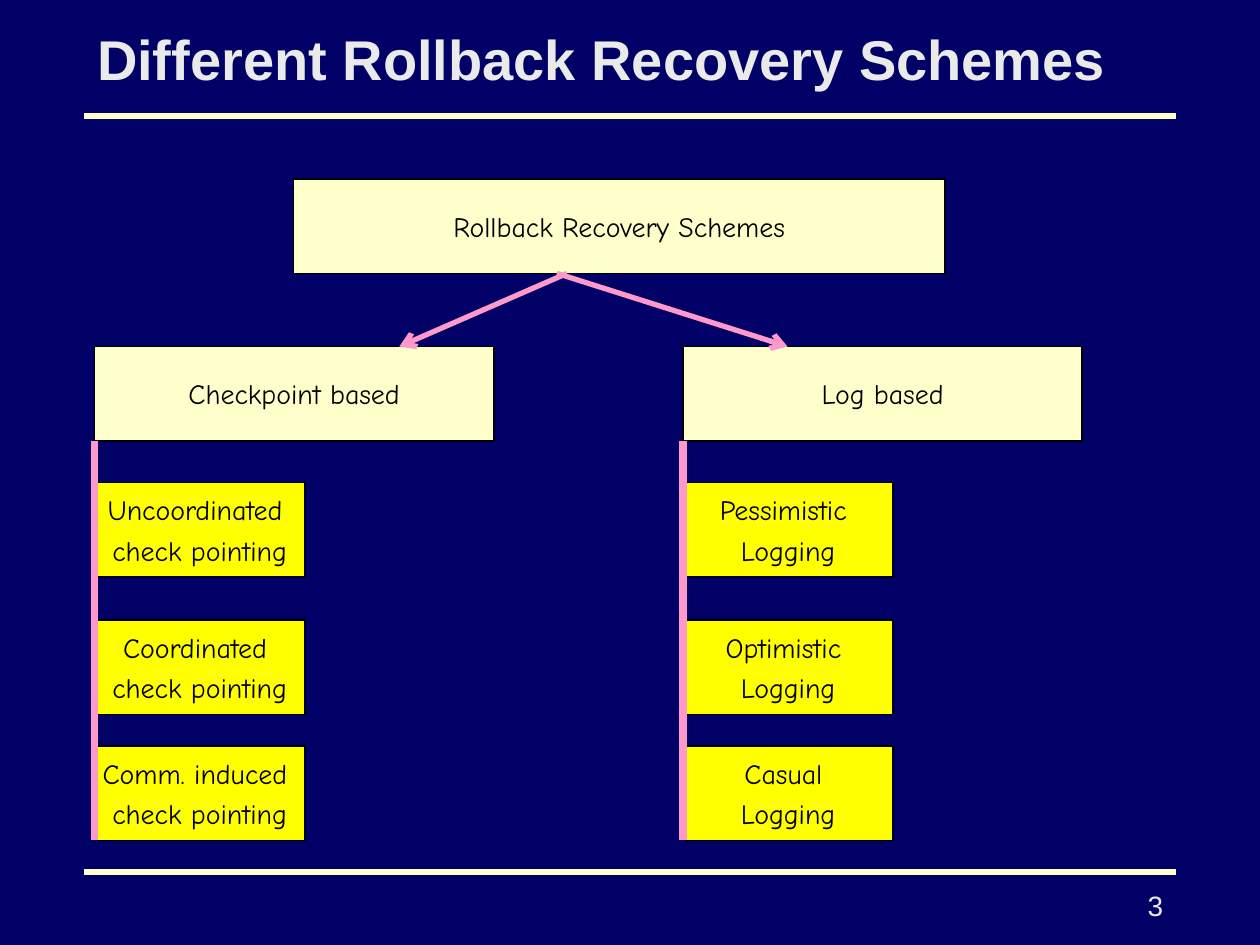
import pptx
import pptx.util
import pptx.dml.color
import pptx.enum.shapes
import pptx.enum.text
import pptx.oxml.ns
from lxml import etree
from pptx.util import Inches

TITLE = "Different Rollback Recovery Schemes"
ROOT = "Rollback Recovery Schemes"
# Each branch: left edge, heading, schemes, arrow start x, arrow end x
BRANCHES = [
    (0.75, "Checkpoint based",
     ["Uncoordinated \ncheck pointing", "Coordinated \ncheck pointing",
      "Comm. induced \ncheck pointing"], 4.5, 3.17),
    (5.42, "Log based",
     ["Pessimistic \nLogging", "Optimistic \nLogging", "Casual \nLogging"],
     4.42, 6.25),
]
PAGE = "3"

BOX_H = 0.75
ROOT_TOP, HEAD_TOP = 1.42, 2.75
SCHEME_TOPS = [3.83, 4.92, 5.92]
NAVY, CREAM, YELLOW, PINK = "000066", "FFFFCC", "FFFF00", "FF99CC"
BLACK, PALE = "000000", "EAEAEA"
ALIGN = pptx.enum.text.PP_ALIGN


def rgb(value):
    return pptx.dml.color.RGBColor.from_string(value)


def write(sp, text, size=16, font="Comic Neue", color=BLACK, bold=False,
          align=ALIGN.CENTER, wrap=False, gap=4,
          anchor=pptx.enum.text.MSO_ANCHOR.MIDDLE):
    tf = sp.text_frame
    tf.word_wrap = wrap
    tf.vertical_anchor = anchor
    tf.margin_left = tf.margin_right = Inches(0.1)
    tf.margin_top = tf.margin_bottom = Inches(0.05)
    tf.text = text
    for i, p in enumerate(tf.paragraphs):
        p.alignment = align
        p.space_before = pptx.util.Pt(gap if i else 0)
        for r in p.runs:
            r.font.size = pptx.util.Pt(size)
            r.font.name = font
            r.font.bold = bold
            r.font.color.rgb = rgb(color)


def box(s, text, left, top, width, fill):
    sp = s.shapes.add_shape(
        pptx.enum.shapes.MSO_SHAPE.RECTANGLE,
        Inches(left), Inches(top), Inches(width), Inches(BOX_H))
    sp.shadow.inherit = False
    sp.fill.solid()
    sp.fill.fore_color.rgb = rgb(fill)
    sp.line.color.rgb = rgb(BLACK)
    sp.line.width = pptx.util.Pt(1)
    write(sp, text)


def line(s, x1, y1, x2, y2, color, width, arrow=False):
    cx = s.shapes.add_connector(
        pptx.enum.shapes.MSO_CONNECTOR.STRAIGHT,
        Inches(x1), Inches(y1), Inches(x2), Inches(y2))
    cx.line.color.rgb = rgb(color)
    cx.line.width = pptx.util.Pt(width)
    qn = pptx.oxml.ns.qn
    sp_pr = cx.element.spPr
    if arrow:
        etree.SubElement(sp_pr.find(qn("a:ln")), qn("a:tailEnd"), type="arrow")
    etree.SubElement(sp_pr, qn("a:effectLst"))


def main():
    prs = pptx.Presentation()
    prs.slide_width, prs.slide_height = Inches(10), Inches(7.5)
    s = prs.slides.add_slide(prs.slide_layouts[5])
    s.background.fill.solid()
    s.background.fill.fore_color.rgb = rgb(NAVY)

    for y in (0.92, 6.92):
        line(s, 0.67, y, 9.33, y, CREAM, 3)

    title = s.shapes.title
    title.left, title.top = Inches(0.67), Inches(0.17)
    title.width, title.height = Inches(8.67), Inches(0.58)
    write(title, TITLE, size=32, font="Arial", color=PALE, bold=True,
          align=ALIGN.LEFT, wrap=True)

    number = s.shapes.add_textbox(
        Inches(8.25), Inches(7), Inches(1.08), Inches(0.33))
    write(number, PAGE, font="Arial", color=PALE, align=ALIGN.RIGHT,
          wrap=True, anchor=pptx.enum.text.MSO_ANCHOR.TOP)

    box(s, ROOT, 2.33, ROOT_TOP, 5.17, CREAM)
    for left, heading, schemes, start, end in BRANCHES:
        box(s, heading, left, HEAD_TOP, 3.17, CREAM)
        for text, top in zip(schemes, SCHEME_TOPS):
            box(s, text, left, top, 1.67, YELLOW)
        line(s, left, HEAD_TOP + BOX_H, left, SCHEME_TOPS[-1] + BOX_H,
             PINK, 4.5)
        line(s, start, ROOT_TOP + BOX_H, end, HEAD_TOP, PINK, 3, arrow=True)

    prs.save("out.pptx")


if __name__ == "__main__":
    main()
